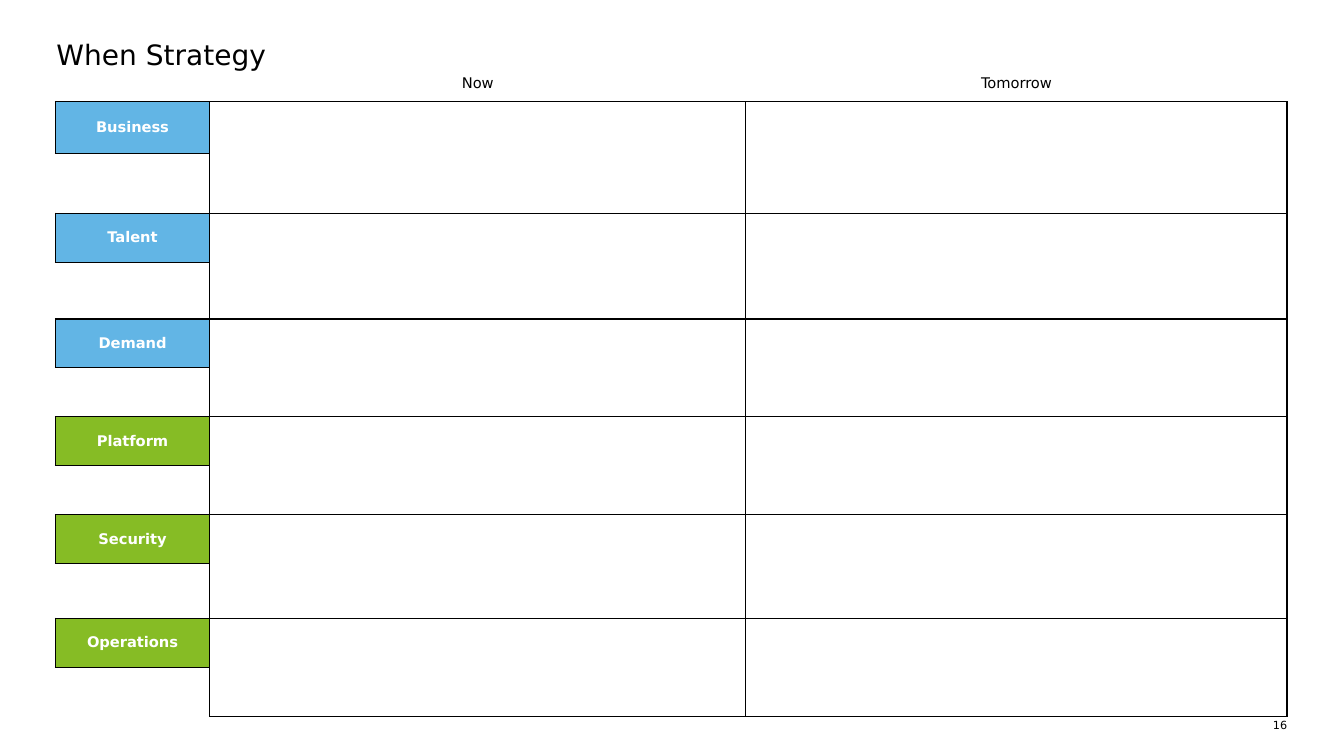
import pptx
import pptx.dml.color
import pptx.enum.text
import pptx.oxml
import pptx.oxml.ns
import pptx.util

Pt = pptx.util.Pt
RGBColor = pptx.dml.color.RGBColor
PP_ALIGN = pptx.enum.text.PP_ALIGN
MIDDLE = pptx.enum.text.MSO_ANCHOR.MIDDLE

BLACK = RGBColor(0x00, 0x00, 0x00)
WHITE = RGBColor(0xFF, 0xFF, 0xFF)
BLUE = RGBColor(0x62, 0xB5, 0xE5)
GREEN = RGBColor(0x86, 0xBC, 0x25)
FONT = "DejaVu Sans"

COLUMN_WIDTHS = [110.2, 383, 386.6]
ROW_HEIGHTS = [36.7, 36.7, 43, 35, 40.5, 35, 35, 35, 35, 35, 39, 35, 35]
HEADINGS = ["Now", "Tomorrow"]
TOPICS = [
    ("Business", BLUE),
    ("Talent", BLUE),
    ("Demand", BLUE),
    ("Platform", GREEN),
    ("Security", GREEN),
    ("Operations", GREEN),
]


def write(frame, text, size, color=BLACK, align=PP_ALIGN.LEFT, bold=False):
    paragraph = frame.paragraphs[0]
    paragraph.alignment = align
    run = paragraph.add_run()
    run.text = text
    run.font.name = FONT
    run.font.size = Pt(size)
    run.font.bold = bold
    run.font.color.rgb = color


def set_borders(cell, sides):
    """Draw 1 pt black lines on the given sides (letters of LRTB), none elsewhere."""
    properties = cell._tc.get_or_add_tcPr()
    for position, side in enumerate("LRTB"):
        if side in sides:
            paint = f'<a:solidFill><a:srgbClr val="{BLACK}"/></a:solidFill>'
        else:
            paint = "<a:noFill/>"
        line = pptx.oxml.parse_xml(
            f'<a:ln{side} {pptx.oxml.ns.nsdecls("a")} w="{Pt(1)}">{paint}</a:ln{side}>'
        )
        properties.insert(position, line)


presentation = pptx.Presentation()
presentation.slide_width = Pt(960)
presentation.slide_height = Pt(540)
slide = presentation.slides.add_slide(presentation.slide_layouts[5])

# Strategy table
table_shape = slide.shapes.add_table(
    len(ROW_HEIGHTS), len(COLUMN_WIDTHS), Pt(39.6), Pt(36),
    Pt(sum(COLUMN_WIDTHS)), Pt(sum(ROW_HEIGHTS)),
)
table = table_shape.table
table.first_row = False
table.horz_banding = False
for column, width in zip(table.columns, COLUMN_WIDTHS):
    column.width = Pt(width)
for row, height in zip(table.rows, ROW_HEIGHTS):
    row.height = Pt(height)

last_row = len(ROW_HEIGHTS) - 1
for row_index in range(len(ROW_HEIGHTS)):
    for column_index in range(len(COLUMN_WIDTHS)):
        cell = table.cell(row_index, column_index)
        cell.fill.background()
        if row_index == 0:
            sides = "B"
        elif column_index > 0 or row_index % 2 == 1:
            sides = "LRTB"
        elif row_index == last_row:
            sides = "RT"
        else:
            sides = "RTB"
        set_borders(cell, sides)

for column_index, heading in enumerate(HEADINGS, start=1):
    cell = table.cell(0, column_index)
    cell.margin_left = cell.margin_right = cell.margin_bottom = Pt(2.88)
    cell.margin_top = Pt(17.28)
    write(cell.text_frame, heading, 10.5, align=PP_ALIGN.CENTER)

for topic_index, (topic, color) in enumerate(TOPICS):
    row_index = 1 + 2 * topic_index
    label = table.cell(row_index, 0)
    label.fill.solid()
    label.fill.fore_color.rgb = color
    label.vertical_anchor = MIDDLE
    write(label.text_frame, topic, 10.5, WHITE, PP_ALIGN.CENTER, bold=True)
    for column_index in (1, 2):
        table.cell(row_index, column_index).merge(table.cell(row_index + 1, column_index))

# Title and page number
title = slide.shapes.title
title.left, title.top, title.width, title.height = Pt(40.3), Pt(26.6), Pt(879.8), Pt(24.5)
page_number = slide.shapes.add_textbox(Pt(902.9), Pt(513.4), Pt(16.6), Pt(9.4))
for shape in (title, page_number):
    frame = shape.text_frame
    frame.margin_left = frame.margin_right = frame.margin_top = frame.margin_bottom = 0
    frame.vertical_anchor = MIDDLE
    frame.word_wrap = True
    frame.auto_size = pptx.enum.text.MSO_AUTO_SIZE.NONE
write(title.text_frame, "When Strategy", 20)
write(page_number.text_frame, "16", 8, align=PP_ALIGN.RIGHT)

presentation.save("out.pptx")
